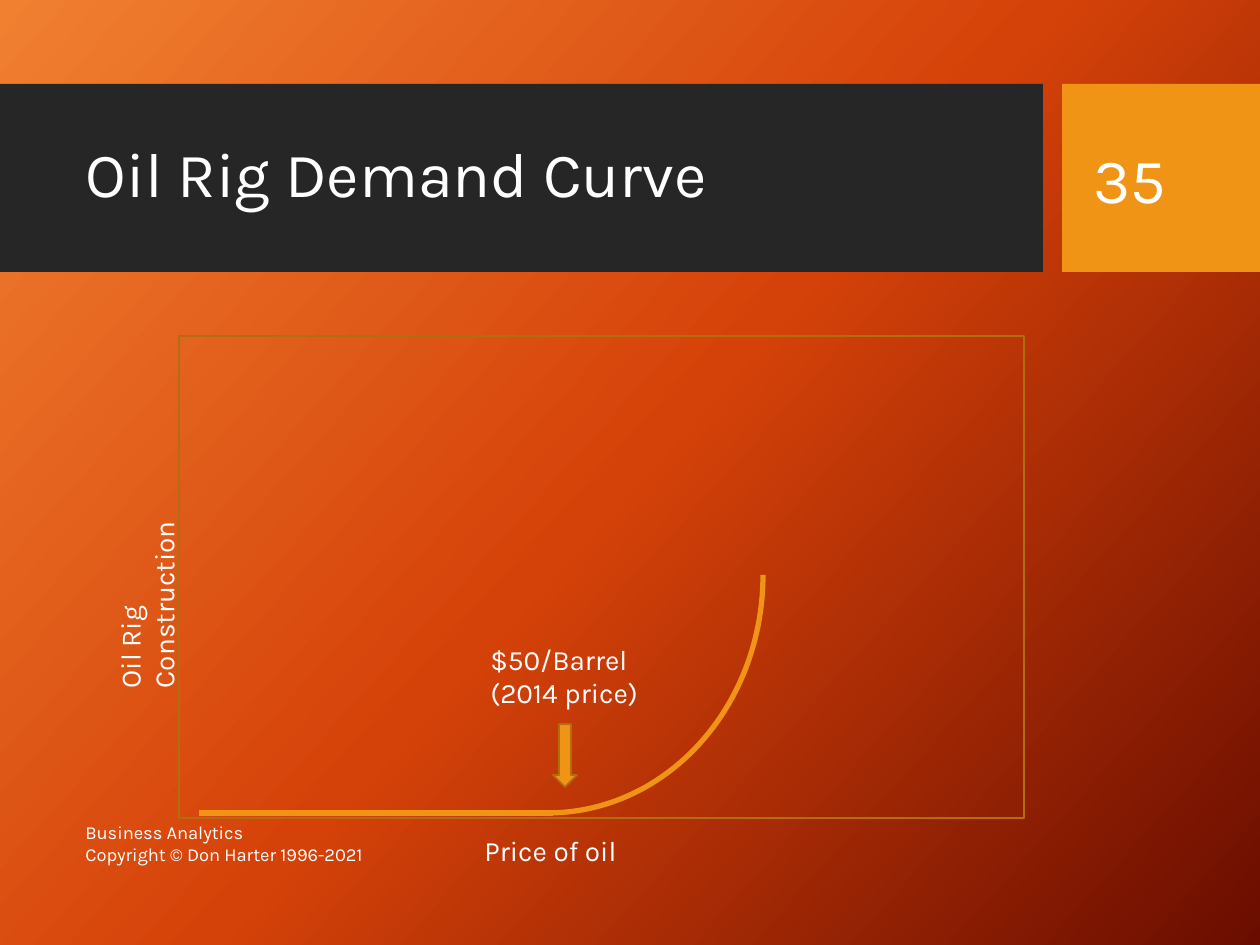
"""Builds the oil rig demand curve slide."""
from copy import deepcopy

from lxml.etree import SubElement
from pptx import Presentation
from pptx.dml.color import RGBColor
from pptx.enum.shapes import MSO_CONNECTOR, MSO_SHAPE
from pptx.enum.text import MSO_ANCHOR, PP_ALIGN
from pptx.oxml.ns import qn
from pptx.util import Pt

PX = 914400 / 126
WHITE, DARK, ORANGE, BROWN = "FFFFFF", "262626", "F09415", "B26D10"


def color(value):
    """Turn a hex string into a colour."""
    return RGBColor.from_string(value)


def write(shape, lines, size, anchor):
    """Fill a shape with left-aligned white paragraphs."""
    frame = shape.text_frame
    frame.word_wrap = True
    frame.vertical_anchor = anchor
    for index, line in enumerate(lines):
        paragraph = frame.add_paragraph() if index else frame.paragraphs[0]
        paragraph.alignment = PP_ALIGN.LEFT
        run = paragraph.add_run()
        run.text = line
        run.font.size = Pt(size)
        run.font.name = "Karla"
        run.font.color.rgb = color(WHITE)


presentation = Presentation()
presentation.slide_width = round(1260 * PX)
presentation.slide_height = round(945 * PX)
slide = presentation.slides.add_slide(presentation.slide_layouts[5])
shapes = slide.shapes

background = slide.background.fill
background.gradient()
background.gradient_angle = 318
stop_list = slide.element.find(".//" + qn("a:gsLst"))
stop_list.insert(1, deepcopy(stop_list[0]))
for stop, position, value in zip(
    background.gradient_stops, (0, 0.5, 1), ("F18031", "D54209", "6A0D00")
):
    stop.position = position
    stop.color.rgb = color(value)

title = shapes.title
title.left, title.top, title.width, title.height = [
    round(length * PX) for length in (73, 103, 950, 149)
]

for kind, box, fill, line, width, rotation in (
    (MSO_SHAPE.RECTANGLE, (0, 84, 1043, 188), DARK, None, 0, 0),
    (MSO_SHAPE.RECTANGLE, (1062, 84, 198, 188), ORANGE, None, 0, 0),
    (MSO_SHAPE.RECTANGLE, (179, 336, 845, 482), None, BROWN, 1, 0),
    (MSO_SHAPE.ARC, (310, 360, 476, 430), None, ORANGE, 3, 90),
    (MSO_SHAPE.DOWN_ARROW, (553, 724, 24, 63), ORANGE, BROWN, 1, 0),
):
    shape = shapes.add_shape(kind, *[round(length * PX) for length in box])
    shape.shadow.inherit = False
    shape.rotation = rotation
    if fill:
        shape.fill.solid()
        shape.fill.fore_color.rgb = color(fill)
    else:
        shape.fill.background()
    if line:
        shape.line.color.rgb = color(line)
        shape.line.width = Pt(width)
    else:
        shape.line.fill.background()

flat_demand = shapes.add_connector(
    MSO_CONNECTOR.STRAIGHT, *[round(length * PX) for length in (199, 813, 553, 813)]
)
flat_demand.line.color.rgb = color(ORANGE)
flat_demand.line.width = Pt(3)
SubElement(flat_demand.element.spPr, qn("a:effectLst"))

shapes[1].element.addnext(title.element)
shapes[0].element.addnext(title.element)
shapes[-1].element.getparent().insert(4, title.element)
write(title, ["Oil Rig Demand Curve"], 36, MSO_ANCHOR.MIDDLE)
title.text_frame.paragraphs[0].line_spacing = 0.9

for lines, box, size, anchor, rotation in (
    (["Business Analytics", "Copyright © Don Harter 1996-2021"],
     (73, 818, 667, 50), 10.5, MSO_ANCHOR.MIDDLE, 0),
    (["35"], (1081, 103, 160, 150), 36, MSO_ANCHOR.MIDDLE, 0),
    (["Price of oil"], (472, 827, 163, 47), 16, MSO_ANCHOR.TOP, 0),
    (["Oil Rig Construction"], (-9, 538, 278, 47), 16, MSO_ANCHOR.TOP, 270),
    (["$50/Barrel", "(2014 price)"], (478, 636, 179, 81), 16, MSO_ANCHOR.TOP, 0),
):
    label = shapes.add_textbox(*[round(length * PX) for length in box])
    label.rotation = rotation
    write(label, lines, size, anchor)

presentation.save("out.pptx")
